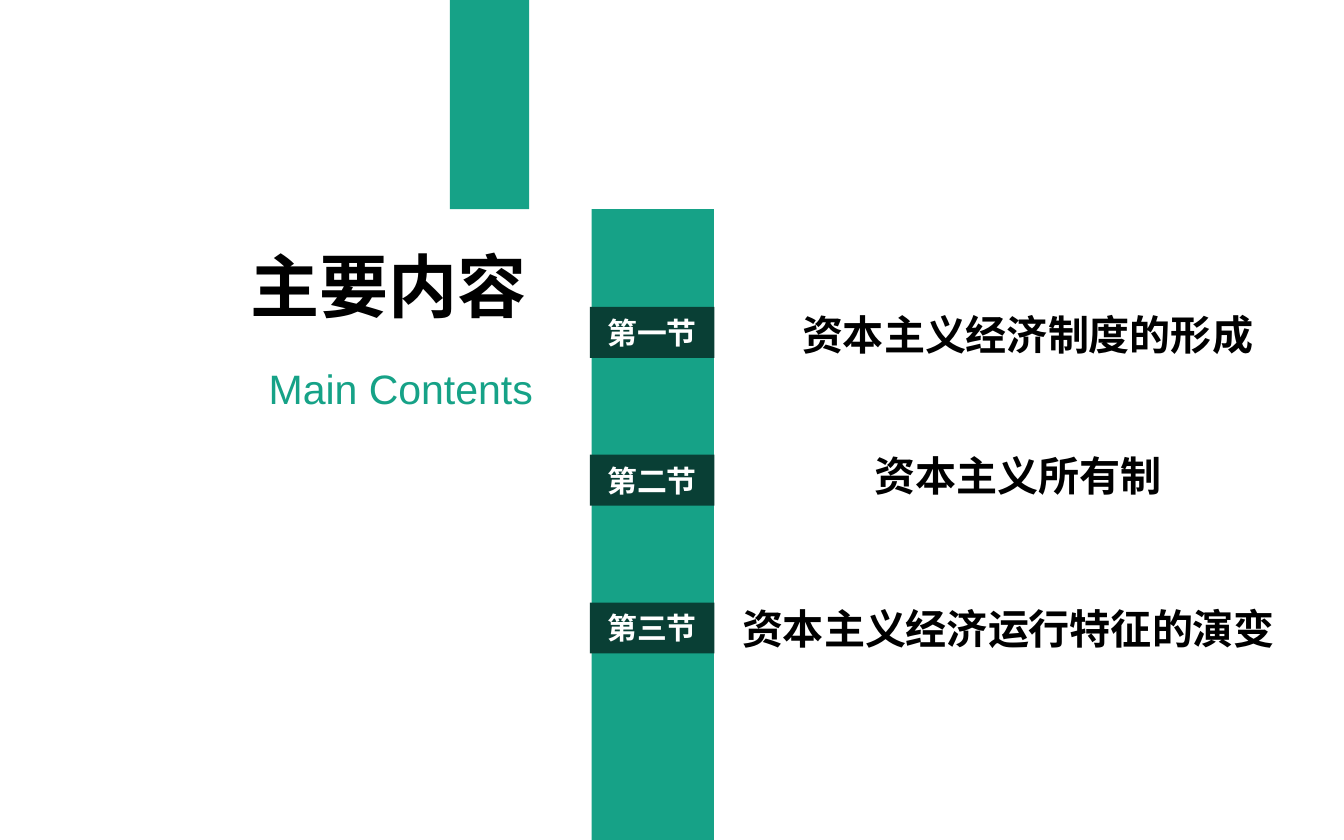
from lxml.etree import SubElement
from pptx import Presentation
from pptx.dml.color import RGBColor
from pptx.enum.shapes import MSO_SHAPE
from pptx.enum.text import MSO_ANCHOR, MSO_AUTO_SIZE, PP_ALIGN
from pptx.oxml.ns import qn
from pptx.util import Pt

COLORS = {"green": "16A287", "dark": "093F35", "black": "000000", "white": "FFFFFF"}
CJK_FONT = "Noto Sans CJK SC"
LATIN_FONT = "Arial"


class ContentsSlide:
    def __init__(self, slide):
        self.slide = slide

    def set_text(self, shape, text, size, color, font=CJK_FONT, bold=True,
                 align=PP_ALIGN.CENTER, anchor=MSO_ANCHOR.TOP, grow=True):
        frame = shape.text_frame
        frame.text = text
        frame.word_wrap = True
        frame.vertical_anchor = anchor
        frame.auto_size = MSO_AUTO_SIZE.SHAPE_TO_FIT_TEXT if grow else MSO_AUTO_SIZE.NONE
        frame.margin_left = frame.margin_right = Pt(6)
        frame.margin_top = frame.margin_bottom = Pt(3)
        paragraph = frame.paragraphs[0]
        paragraph.alignment = align
        run = paragraph.runs[0]
        run.font.size = Pt(size)
        run.font.bold = bold
        run.font.color.rgb = RGBColor.from_string(COLORS[color])
        run.font.name = font
        # East Asian characters take their own typeface
        SubElement(run.font._element, qn("a:ea"), typeface=CJK_FONT)

    def title(self, text, left, top, width, height, size):
        title = self.slide.shapes.title
        title.left, title.top, title.width, title.height = map(Pt, (left, top, width, height))
        self.set_text(title, text, size, "black")

    def label(self, text, left, top, width, height, **style):
        box = self.slide.shapes.add_textbox(*map(Pt, (left, top, width, height)))
        self.set_text(box, text, 22, **style)

    def bar(self, left, top, width, height, color):
        bar = self.slide.shapes.add_shape(
            MSO_SHAPE.RECTANGLE, *map(Pt, (left, top, width, height)))
        bar.shadow.inherit = False
        bar.fill.solid()
        bar.fill.fore_color.rgb = RGBColor.from_string(COLORS[color])
        bar.line.fill.background()
        return bar

    def section_tag(self, text, left, top, width, height):
        tag = self.bar(left, top, width, height, "dark")
        self.set_text(tag, text, 16, "white", font=LATIN_FONT,
                      anchor=MSO_ANCHOR.MIDDLE, grow=False)


def main():
    deck = Presentation()
    deck.slide_width, deck.slide_height = Pt(720), Pt(450)
    contents = ContentsSlide(deck.slides.add_slide(deck.slide_layouts[5]))

    # Green bars
    contents.bar(241, 0, 42.5, 112, "green")
    contents.bar(317, 112, 65.5, 338, "green")

    # Heading
    contents.title("主要内容", 124.5, 127.5, 167, 50.5, 37)
    contents.label("Main Contents", 108, 191.5, 183.5, 32.5, color="green",
                   font=LATIN_FONT, bold=False, align=PP_ALIGN.RIGHT)

    # Sections: tag, heading, then left, top and width of the heading
    sections = [
        ("第一节", "资本主义经济制度的形成", 412, 162.7, 277),
        ("第二节", "资本主义所有制", 393, 238.3, 304.5),
        ("第三节", "资本主义经济运行特征的演变", 369, 320.4, 342.5),
    ]
    for row, (tag, heading, left, top, width) in enumerate(sections):
        contents.section_tag(tag, 316, 164.4 + row * 79.2, 66.7, 27.3)
        contents.label(heading, left, top, width, 32.5, color="black")

    deck.save("out.pptx")


if __name__ == "__main__":
    main()
